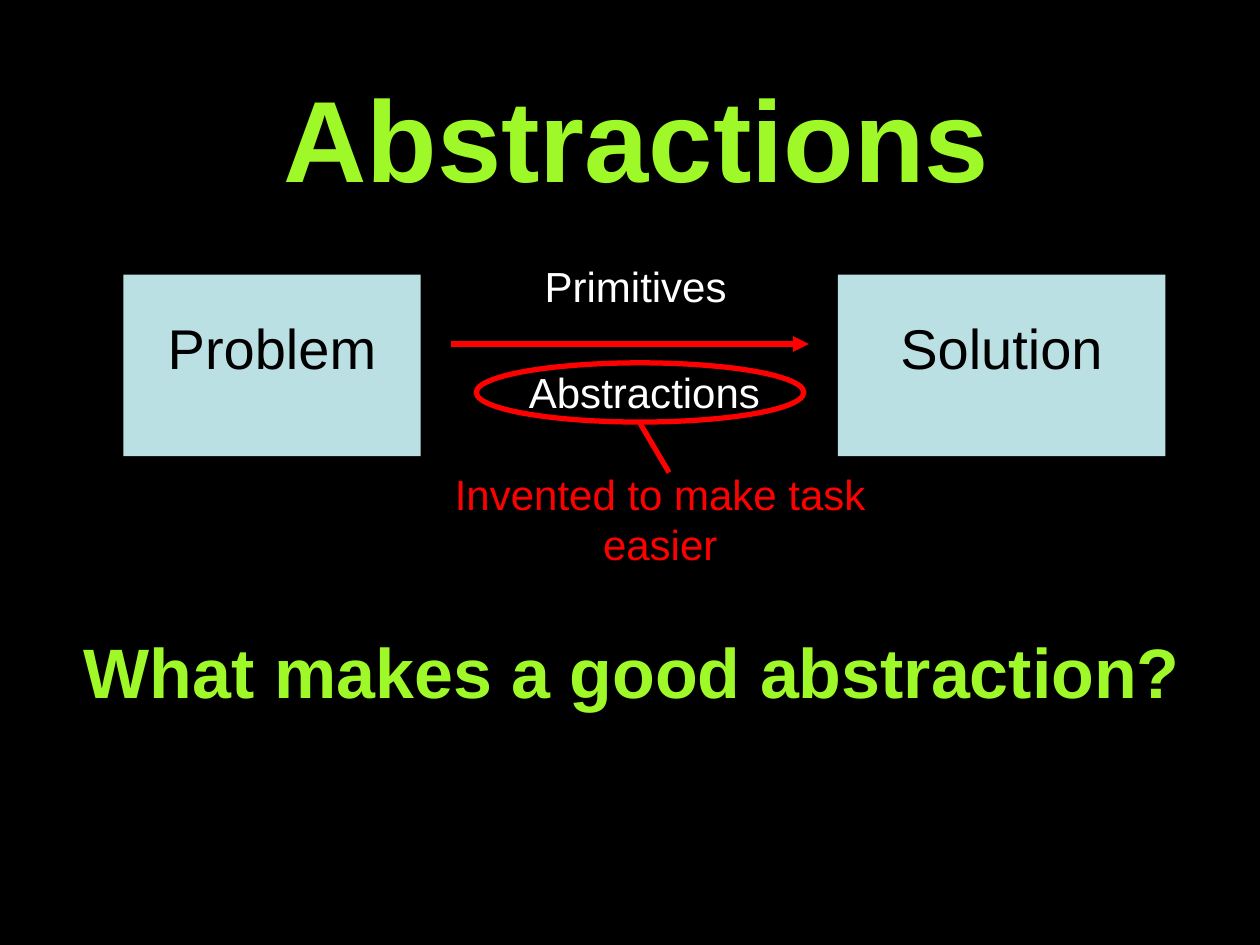
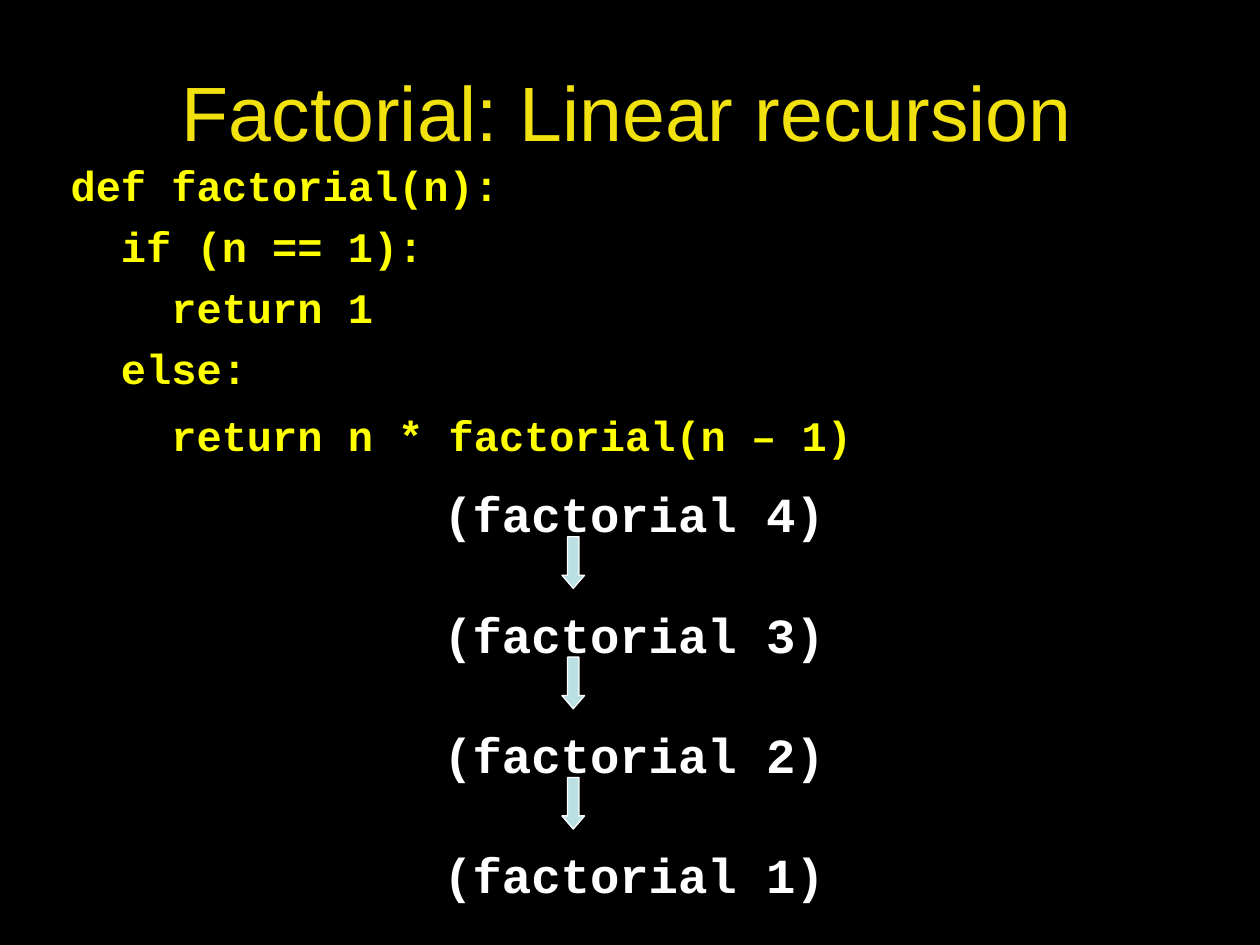
from lxml import etree
from pptx import Presentation
from pptx.dml.color import RGBColor
from pptx.enum.shapes import MSO_CONNECTOR, MSO_SHAPE
from pptx.enum.text import MSO_ANCHOR, MSO_AUTO_SIZE, PP_ALIGN
from pptx.oxml.ns import qn
from pptx.util import Inches, Pt

CENTER, LEFT = PP_ALIGN.CENTER, PP_ALIGN.LEFT
TOP, MIDDLE = MSO_ANCHOR.TOP, MSO_ANCHOR.MIDDLE
RECT, OVAL, DOWN = MSO_SHAPE.RECTANGLE, MSO_SHAPE.OVAL, MSO_SHAPE.DOWN_ARROW
STRAIGHT, NO_FIT = MSO_CONNECTOR.STRAIGHT, MSO_AUTO_SIZE.NONE

BLACK = RGBColor(0x00, 0x00, 0x00)
WHITE = RGBColor(0xFF, 0xFF, 0xFF)
GREEN = RGBColor(0x9F, 0xF8, 0x28)
GOLD = RGBColor(0xF1, 0xE1, 0x0F)
YELLOW = RGBColor(0xFF, 0xFF, 0x00)
RED = RGBColor(0xFF, 0x00, 0x00)
PALE_BLUE = RGBColor(0xBB, 0xE0, 0xE3)
SANS, MONO = "Arial", "Courier New"


def add_text(p, text, size, color, font=SANS, bold=False, align=CENTER):
    p.alignment = align
    r = p.add_run()
    r.text = text
    r.font.name = font
    r.font.size = Pt(size)
    r.font.bold = bold
    r.font.color.rgb = color


def place(sp, x, y, w, h, margins=(0.1, 0.05, 0.1, 0.05), anchor=TOP):
    sp.left, sp.top, sp.width, sp.height = map(Inches, (x, y, w, h))
    tf = sp.text_frame
    tf.word_wrap = True
    tf.auto_size = NO_FIT
    tf.vertical_anchor = anchor
    tf.margin_left, tf.margin_top, tf.margin_right, tf.margin_bottom = map(Inches, margins)
    return tf


PLACEHOLDER_MARGINS = (0.06, 0.06, 0.1, 0.06)

prs = Presentation()
prs.slide_width, prs.slide_height = Inches(10), Inches(7.5)
fill = prs.slide_master.background.fill
fill.solid()
fill.fore_color.rgb = BLACK
layout = prs.slide_layouts[1]

titles = [
    ("Abstractions", (0.57, 0.23, 9, 1.71), 66, GREEN, True),
    ("Factorial: Linear recursion", (0.5, 0.07, 9, 1.62), 44, GOLD, False),
]
for text, box, size, color, bold in titles:
    s = prs.slides.add_slide(layout)
    tf = place(s.shapes.title, *box, PLACEHOLDER_MARGINS, MIDDLE)
    add_text(tf.paragraphs[0], text, size, color, bold=bold)
abstractions, factorial = prs.slides

s = abstractions
tf = place(s.placeholders[1], 0.51, 4.93, 9, 1.25, PLACEHOLDER_MARGINS)
p = tf.paragraphs[0]
add_text(p, "What makes a good abstraction?", 40, GREEN, bold=True)
pPr = p._p.get_or_add_pPr()
pPr.set("marL", str(Inches(0.05)))
pPr.set("indent", "0")
etree.SubElement(pPr, qn("a:buNone"))

for text, x, w in [("Problem", 0.98, 2.36), ("Solution", 6.65, 2.6)]:
    sp = s.shapes.add_shape(RECT, 0, 0, 0, 0)
    tf = place(sp, x, 2.18, w, 1.44, (0.1, 0.31, 0.1, 0.05))
    sp.shadow.inherit = False
    sp.fill.solid()
    sp.fill.fore_color.rgb = PALE_BLUE
    sp.line.fill.background()
    add_text(tf.paragraphs[0], text, 32, BLACK)

labels = [
    ("Primitives", (3.51, 2.02, 3.07, 0.5), WHITE),
    ("Abstractions", (3.58, 2.86, 3.07, 0.5), WHITE),
    ("Invented to make task easier", (3.27, 3.67, 3.94, 0.9), RED),
]
for text, box, color in labels:
    tf = place(s.shapes.add_textbox(0, 0, 0, 0), *box)
    add_text(tf.paragraphs[0], text, 24, color)

ring = s.shapes.add_shape(OVAL, Inches(3.78), Inches(2.88), Inches(2.6), Inches(0.47))
ring.shadow.inherit = False
ring.fill.background()
ring.line.color.rgb = RED
ring.line.width = Pt(3)

for ends, has_head in [((3.58, 2.73, 6.42, 2.73), True), ((5.08, 3.36, 5.31, 3.75), False)]:
    line = s.shapes.add_connector(STRAIGHT, *map(Inches, ends))
    line.line.color.rgb = RED
    line.line.width = Pt(3)
    if has_head:
        etree.SubElement(line.line._get_or_add_ln(), qn("a:tailEnd"), type="triangle")
    etree.SubElement(line._element.spPr, qn("a:effectLst"))

s = factorial
code = [
    (0, "def factorial(n):"),
    (1, "if (n == 1):"),
    (2, "return 1"),
    (1, "else:"),
    (2, "return n * factorial(n – 1)"),
]
tf = place(s.placeholders[1], 0.41, 1.26, 8.18, 2.93)
for i, (level, text) in enumerate(code):
    p = tf.paragraphs[0] if i == 0 else tf.add_paragraph()
    add_text(p, text, 24, YELLOW, MONO, True, LEFT)
    p.line_spacing = 0.9
    p.space_before = Pt(12 if i == len(code) - 1 else 9)
    pPr = p._p.get_or_add_pPr()
    pPr.set("marL", str(Inches(0.05 + 0.4 * level)))
    pPr.set("indent", "0")
    etree.SubElement(pPr, qn("a:buNone"))

STEP = 0.955
for i, n in enumerate((4, 3, 2, 1)):
    tf = place(s.shapes.add_textbox(0, 0, 0, 0), 3.42, 3.79 + i * STEP, 3.23, 0.57)
    tf.word_wrap = False
    add_text(tf.paragraphs[0], f"(factorial {n})", 28, WHITE, MONO, True, LEFT)
    if n > 1:
        arrow = s.shapes.add_shape(DOWN, Inches(4.46), Inches(4.26 + i * STEP), Inches(0.18), Inches(0.41))
        arrow.adjustments[0], arrow.adjustments[1] = 0.5, 0.58
        arrow.shadow.inherit = False
        arrow.fill.solid()
        arrow.fill.fore_color.rgb = PALE_BLUE
        arrow.line.color.rgb = WHITE
        arrow.line.width = Pt(0.75)

prs.save("out.pptx")
